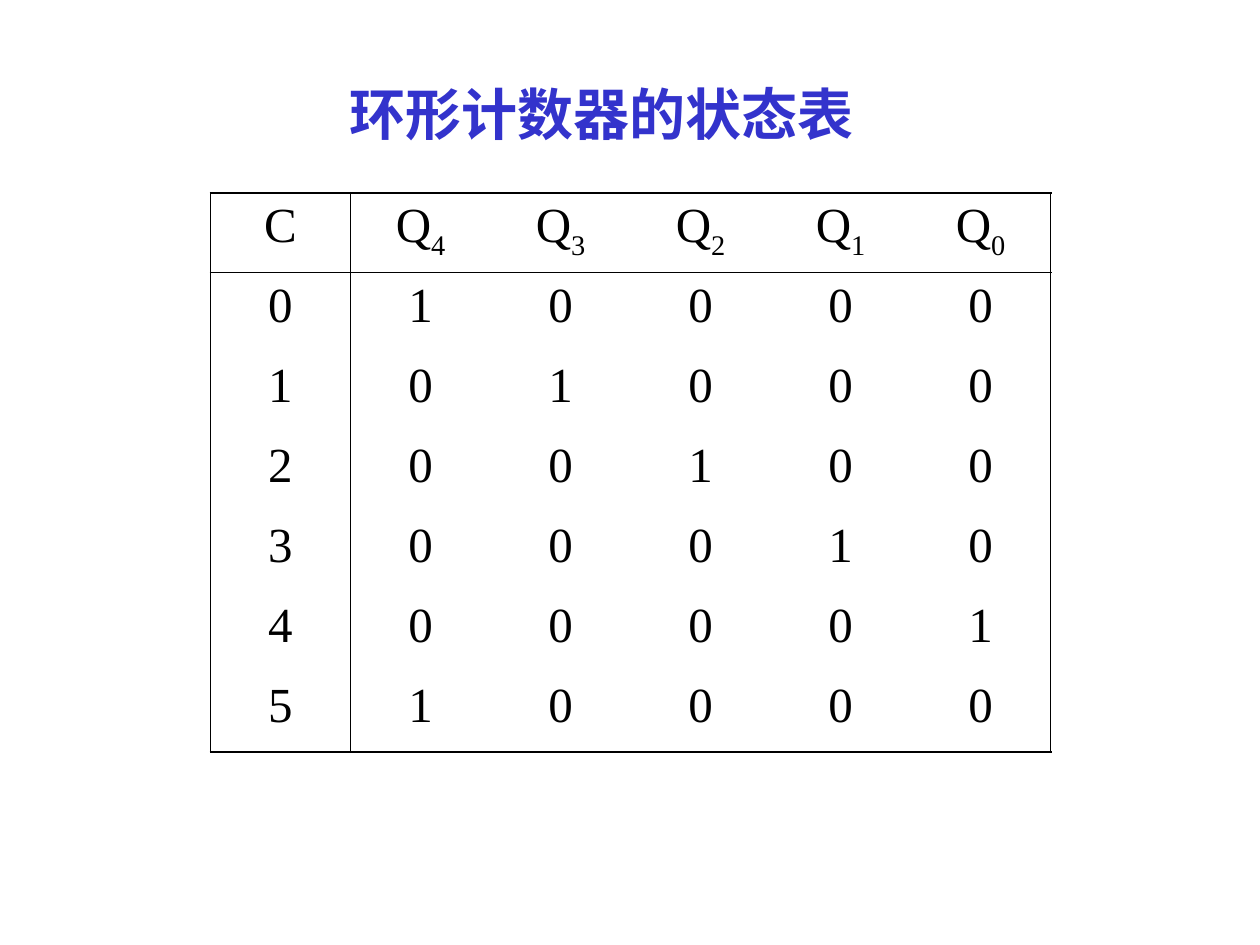
from typing import NamedTuple

from lxml import etree
from pptx import Presentation
from pptx.dml.color import RGBColor
from pptx.enum.text import MSO_ANCHOR, MSO_AUTO_SIZE, PP_ALIGN
from pptx.oxml.ns import qn
from pptx.util import Inches, Pt

LEFT, CENTER = PP_ALIGN.LEFT, PP_ALIGN.CENTER
TOP = MSO_ANCHOR.TOP
FIT_SHAPE = MSO_AUTO_SIZE.SHAPE_TO_FIT_TEXT
TITLE_ONLY = 5
FONT = "Times New Roman"
BLACK, BLUE = "000000", "3333CC"
OUTER, INNER, NO_LINE = 1.08, 0.45, 0
STATE_COUNT, BIT_COUNT = 6, 5


class Borders(NamedTuple):
    """Line widths in points, in the order a cell stores them."""
    left: float
    right: float
    top: float
    bottom: float


def add_text(paragraph, text: str, *, size: float, color: str = BLACK,
             bold: bool = False, align=LEFT, subscript: bool = False) -> None:
    paragraph.alignment = align
    run = paragraph.add_run()
    run.text = text
    font = run.font
    font.name, font.size, font.bold = FONT, Pt(size), bold
    font.color.rgb = RGBColor.from_string(color)
    if subscript:
        run._r.get_or_add_rPr().set("baseline", "-25000")


def edge_widths(index: int, count: int) -> tuple[float, float]:
    """Outer lines at both ends and one inner line after the first item."""
    before = {0: OUTER, 1: INNER}.get(index, NO_LINE)
    after = {0: INNER, count - 1: OUTER}.get(index, NO_LINE)
    return before, after


def set_borders(cell, borders: Borders) -> None:
    properties = cell._tc.get_or_add_tcPr()
    for side, width in zip("LRTB", borders):
        line = etree.SubElement(properties, qn(f"a:ln{side}"), w=str(int(Pt(width))))
        if width:
            fill = etree.SubElement(line, qn("a:solidFill"))
            etree.SubElement(fill, qn("a:srgbClr"), val=BLACK)
        else:
            etree.SubElement(line, qn("a:noFill"))


def add_title(slide, text: str) -> None:
    title = slide.shapes.title
    title.left, title.top = Inches(2.67), Inches(0.58)
    title.width, title.height = Inches(4.42), Inches(0.64)
    frame = title.text_frame
    frame.word_wrap, frame.auto_size = True, FIT_SHAPE
    frame.vertical_anchor = TOP
    add_text(frame.paragraphs[0], text, size=32, color=BLUE, bold=True)


def add_state_table(slide) -> None:
    header = ["C"] + [f"Q{bit}" for bit in reversed(range(BIT_COUNT))]
    states = [
        [str(state)] + [str(int(state % BIT_COUNT == bit)) for bit in range(BIT_COUNT)]
        for state in range(STATE_COUNT)
    ]
    rows = [header, *states]
    row_count, column_count = len(rows), len(header)
    table = slide.shapes.add_table(row_count, column_count, Inches(1.67), Inches(1.53),
                                   Inches(6.67), Inches(4.44)).table
    table.first_row = table.horz_banding = False
    for row_index, values in enumerate(rows):
        for column_index, value in enumerate(values):
            cell = table.cell(row_index, column_index)
            paragraph = cell.text_frame.paragraphs[0]
            add_text(paragraph, value[0], size=28, align=CENTER)
            if value[1:]:
                add_text(paragraph, value[1:], size=28, align=CENTER, subscript=True)
            set_borders(cell, Borders(*edge_widths(column_index, column_count),
                                      *edge_widths(row_index, row_count)))
            cell.fill.background()


def main() -> None:
    presentation = Presentation()
    presentation.slide_width, presentation.slide_height = Inches(10), Inches(7.5)
    slide = presentation.slides.add_slide(presentation.slide_layouts[TITLE_ONLY])
    add_title(slide, "环形计数器的状态表")
    add_state_table(slide)
    presentation.save("out.pptx")


if __name__ == "__main__":
    main()
